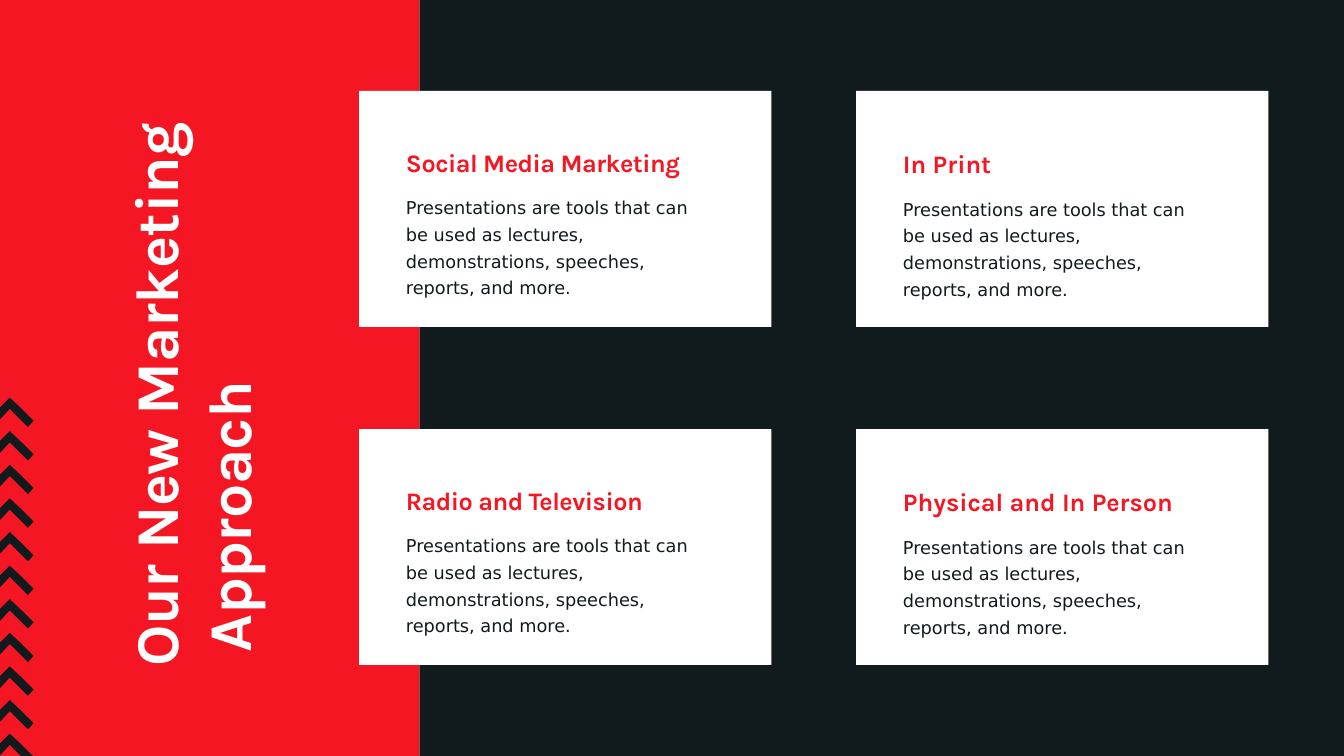
"""Build the marketing approach slide: an upturned title beside a two-by-two grid of cards."""
from dataclasses import dataclass
from typing import NamedTuple

from pptx import Presentation
from pptx.dml.color import RGBColor
from pptx.enum.shapes import MSO_SHAPE as Shape
from pptx.enum.text import MSO_ANCHOR as Anchor, MSO_AUTO_SIZE as AutoSize, PP_ALIGN as Align
from pptx.util import Pt

PX = 9525


@dataclass(frozen=True)
class Theme:
    """Colours, fonts and type sizes of the slide."""
    dark: str = "111B1D"
    red: str = "F41723"
    white: str = "FFFFFF"
    display: str = "Karla"
    body: str = "DejaVu Sans"
    title_size: int = 65
    heading_size: int = 27
    body_size: int = 19


class Box(NamedTuple):
    """A rectangle in px."""
    x: int
    y: int
    w: int
    h: int

    def emu(self) -> list[int]:
        """Return the rectangle in EMU."""
        return [v * PX for v in self]

    def upturned(self) -> "Box":
        """Return the box that covers this one after a quarter turn."""
        shift = (self.h - self.w) // 2
        return Box(self.x - shift, self.y + shift, self.h, self.w)


class Card(NamedTuple):
    """A heading at its column and row of the grid."""
    heading: str
    col: int
    row: int


THEME = Theme()
WIDTH, HEIGHT, PANEL_W = 1920, 1080, 599
TITLE = "Our New Marketing Approach"
TITLE_BOX = Box(168, 154, 214, 798)
TITLE_HANG = 20
BODY = ("Presentations are tools that can be used as lectures, "
        "demonstrations, speeches, reports, and more.")
CARDS = [
    Card("Social Media Marketing", 0, 0),
    Card("In Print", 1, 0),
    Card("Radio and Television", 0, 1),
    Card("Physical and In Person", 1, 1),
]
HEADING_TRACKING = (-0.55, 0)
FIRST_CARD = Box(513, 130, 589, 337)
COL_STEP, ROW_STEP = 710, 483
CARD_LEFT, CARD_TOP, CARD_RIGHT = 67, 80, 102
CHEVRON = [(48, 33), (31, 16), (14, 0), (0, 14), (0, 31), (14, 16), (40, 42)]
CUT_CHEVRON = [(47, 32), *CHEVRON[1:-1], (30, 32)]
CHEVRON_TOP, CHEVRON_STEP, CHEVRON_COUNT = 568, 48, 11


def paint(sp, color: str) -> None:
    """Give a shape a plain fill with no line and no shadow."""
    sp.fill.solid()
    sp.fill.fore_color.rgb = RGBColor.from_string(color)
    sp.line.fill.background()
    sp.shadow.inherit = False


def add_rect(slide, box: Box, color: str):
    """Add a plain rectangle."""
    sp = slide.shapes.add_shape(Shape.RECTANGLE, *box.emu())
    paint(sp, color)
    return sp


def set_frame(tf, left: int = 0, top: int = 0, right: int = 0) -> None:
    """Make a text frame wrap from its top with the given insets."""
    tf.word_wrap = True
    tf.auto_size = AutoSize.NONE
    tf.vertical_anchor = Anchor.TOP
    tf.margin_left, tf.margin_top, tf.margin_right = left * PX, top * PX, right * PX
    tf.margin_bottom = 0


def write(p, text: str, *, size: int, color: str, font: str, bold: bool = False,
          tracking: float = 0, before: float = 0, spacing: float = 1.0) -> None:
    """Write one left-aligned run into a paragraph."""
    p.alignment = Align.LEFT
    p.space_before = Pt(before)
    p.line_spacing = spacing
    r = p.add_run()
    r.text = text
    r.font.size = Pt(size)
    r.font.name = font
    r.font.bold = bold
    r.font.color.rgb = RGBColor.from_string(color)
    r._r.get_or_add_rPr().set("spc", str(round(tracking * 100)))


def place_title(slide) -> None:
    """Turn the title placeholder upward and bring it above the panels."""
    sp = slide.shapes.title
    sp.left, sp.top, sp.width, sp.height = TITLE_BOX.upturned().emu()
    sp.rotation = 270
    tf = sp.text_frame
    set_frame(tf)
    p = tf.paragraphs[0]
    write(p, TITLE, size=THEME.title_size, color=THEME.white, font=THEME.display,
          bold=True, tracking=-0.6)
    pPr = p._p.get_or_add_pPr()
    pPr.set("marL", str(TITLE_HANG * PX))
    pPr.set("indent", str(-TITLE_HANG * PX))
    slide.shapes._spTree.append(sp._element)


def add_card(slide, card: Card) -> None:
    """Add a white card with its heading and body text."""
    x, y, w, h = FIRST_CARD
    sp = add_rect(slide, Box(x + card.col * COL_STEP, y + card.row * ROW_STEP, w, h), THEME.white)
    tf = sp.text_frame
    set_frame(tf, CARD_LEFT, CARD_TOP + 2 * card.col, CARD_RIGHT)
    write(tf.paragraphs[0], card.heading, size=THEME.heading_size, color=THEME.red,
          font=THEME.display, bold=True, tracking=HEADING_TRACKING[card.col])
    write(tf.add_paragraph(), BODY, size=THEME.body_size, color=THEME.dark,
          font=THEME.body, before=15.6, spacing=1.25)


def add_chevrons(slide) -> None:
    """Add the column of chevrons as one outline, the last cut by the slide edge."""
    builder = None
    for i in range(CHEVRON_COUNT):
        outline = CUT_CHEVRON if i == CHEVRON_COUNT - 1 else CHEVRON
        start, *rest = [(x, y + CHEVRON_TOP + i * CHEVRON_STEP) for x, y in outline]
        if builder is None:
            builder = slide.shapes.build_freeform(*start, scale=PX)
        else:
            builder.move_to(*start)
        builder.add_line_segments(rest, close=True)
    paint(builder.convert_to_shape(), THEME.dark)


def main() -> None:
    """Build and save the slide."""
    prs = Presentation()
    prs.slide_width, prs.slide_height = WIDTH * PX, HEIGHT * PX
    slide = prs.slides.add_slide(prs.slide_layouts[5])
    add_rect(slide, Box(PANEL_W, 0, WIDTH - PANEL_W, HEIGHT), THEME.dark)
    add_rect(slide, Box(0, 0, PANEL_W, HEIGHT), THEME.red)
    place_title(slide)
    for card in CARDS:
        add_card(slide, card)
    add_chevrons(slide)
    prs.save("out.pptx")


if __name__ == "__main__":
    main()
